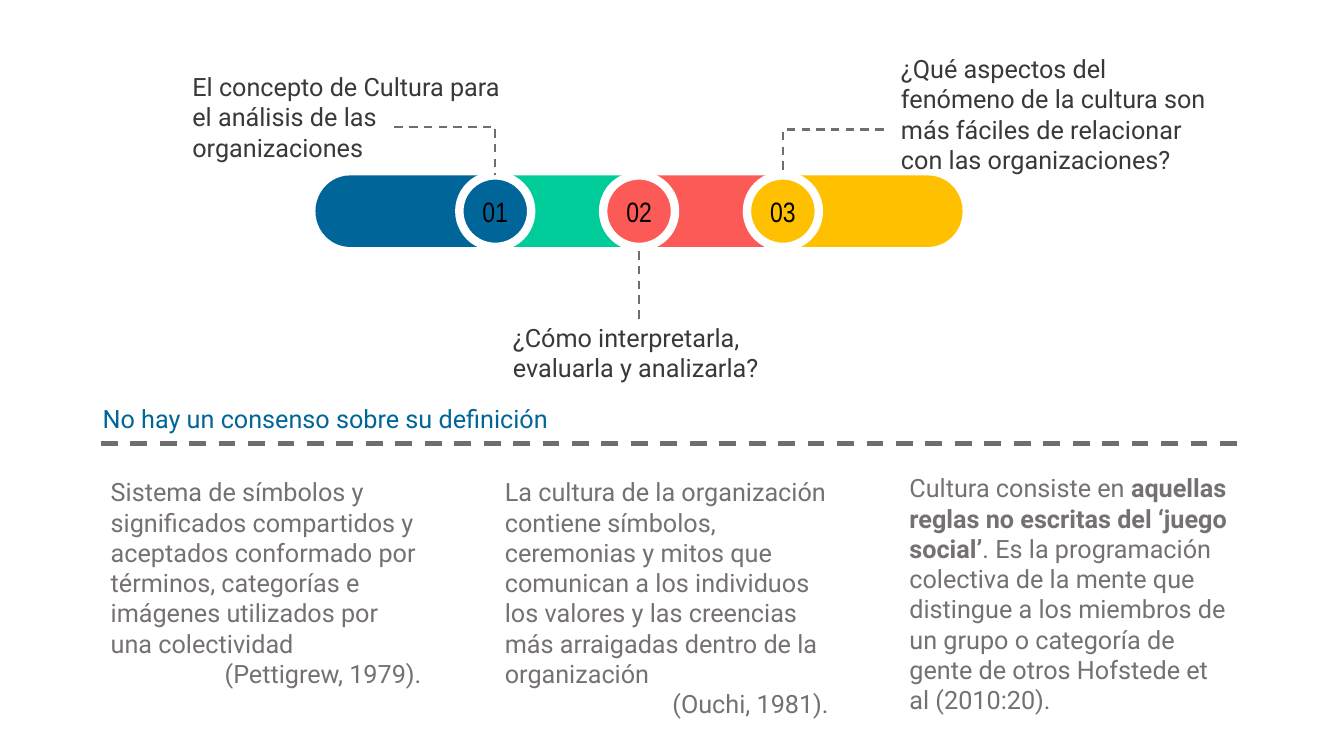
from lxml.etree import SubElement
from pptx import Presentation
from pptx.dml.color import RGBColor
from pptx.enum.dml import MSO_LINE
from pptx.enum.shapes import MSO_CONNECTOR, MSO_SHAPE
from pptx.enum.text import MSO_ANCHOR, PP_ALIGN
from pptx.oxml.ns import qn
from pptx.util import Inches, Pt

COLORS = {
    "blue": "006699", "green": "00CC99", "red": "FC5A56", "yellow": "FFC000",
    "white": "FFFFFF", "black": "000000", "dash": "6E6E6E",
    "callout": "3B3838", "body": "767171",
}
WIDTH, HEIGHT = Inches(13.33), Inches(7.5)
COL, ROW = WIDTH / 40, HEIGHT / 30

# Lead: columns across and rows away from the circle; text box: relative to the bar.
CALLOUTS = [
    ("El concepto de Cultura para el análisis de las organizaciones",
     (-3, -1.92), (-3.96, -4.32, 10.14, 4.04)),
    ("¿Cómo interpretarla, evaluarla y analizarla?",
     (0, 2.84), (5.58, 5.64, 9.99, 2.84)),
    ("¿Qué aspectos del fenómeno de la cultura son más fáciles de relacionar "
     "con las organizaciones?",
     (3, -1.82), (17.13, -5.04, 9.99, 5.24)),
]
# Text box relative to the definitions region, then paragraphs of (text, bold) runs.
DEFINITIONS = [
    ((0, 2.92, 9.84, 8.88),
     [[("Sistema de símbolos y significados compartidos y aceptados conformado por "
        "términos, categorías e imágenes utilizados por una colectividad", False)],
      [("(Pettigrew, 1979).", False)]]),
    ((11.73, 2.92, 10.23, 10.08),
     [[("La cultura de la organización contiene símbolos, ceremonias y mitos que "
        "comunican a los individuos los valores y las creencias más arraigadas "
        "dentro de la organización", False)],
      [("(Ouchi, 1981).", False)]]),
    ((23.77, 2.76, 10.23, 10.08),
     [[("Cultura consiste en ", False),
       ("aquellas reglas no escritas del ‘juego social’", True),
       (". Es la programación colectiva de la mente que distingue a los miembros de "
        "un grupo o categoría de gente de otros Hofstede et al (2010:20).", False)]]),
]


def rgb(name):
    """Return the named colour."""
    return RGBColor.from_string(COLORS[name])


def cells(x, y, *size):
    """Turn grid columns and rows into slide lengths."""
    return [round(v * unit) for v, unit in zip((x, y, *size), (COL, ROW) * 2)]


def add_text(s, box, paragraphs, color, font="Roboto", size=18, wrap=True):
    """Add a text box; every paragraph after the first is a right-aligned source."""
    tf = s.shapes.add_textbox(*cells(*box)).text_frame
    tf.word_wrap = wrap
    for i, runs in enumerate(paragraphs):
        p = tf.add_paragraph() if i else tf.paragraphs[0]
        if i:
            p.alignment = PP_ALIGN.RIGHT
        for text, bold in runs:
            r = p.add_run()
            r.text = text
            r.font.name, r.font.size, r.font.bold = font, Pt(size), bold
            r.font.color.rgb = rgb(color)
    return tf


def add_shape(s, kind, box, fill, outline=None):
    """Add a flat filled shape with an optional thick outline."""
    sp = s.shapes.add_shape(kind, *cells(*box))
    sp.shadow.inherit = False
    sp.fill.solid()
    sp.fill.fore_color.rgb = rgb(fill)
    if outline:
        sp.line.color.rgb = rgb(outline)
        sp.line.width = Pt(6)
    else:
        sp.line.fill.background()


def add_dashes(s, start, end, width=1.5):
    """Add a dashed line, with one right-angle bend if it is not straight."""
    bent = start[0] != end[0] and start[1] != end[1]
    kind = MSO_CONNECTOR.ELBOW if bent else MSO_CONNECTOR.STRAIGHT
    sp = s.shapes.add_connector(kind, *cells(*start), *cells(*end))
    sp.line.color.rgb = rgb("dash")
    sp.line.width = Pt(width)
    sp.line.dash_style = MSO_LINE.DASH
    props = sp._element.spPr
    if bent:
        props.find(qn("a:prstGeom")).set("prst", "bentConnector2")
    SubElement(props, qn("a:effectLst"))


def add_number(s, cx, cy, number):
    """Centre a two-digit number on a circle."""
    w, h = 1.53, 1.48
    tf = add_text(s, (cx - w / 2, cy - h / 2, w, h), [[(f"{number:02}", False)]],
                  "black", "Arial Narrow", 20)
    tf.vertical_anchor = MSO_ANCHOR.MIDDLE
    tf.margin_left = tf.margin_right = tf.margin_top = tf.margin_bottom = Inches(0.1)
    tf.paragraphs[0].alignment = PP_ALIGN.CENTER


def add_timeline(s, box):
    """Build the bar of overlapping pills with its numbered circles and callouts."""
    x, y, w, h = box
    unit = w / 9
    pills = ["blue", "green", "red", "yellow"]
    for i in (1, 2, 0, 3):  # the end pills overlap the inner ones
        add_shape(s, MSO_SHAPE.FLOWCHART_TERMINATOR,
                  (x + 2 * i * unit, y, 3 * unit, h), pills[i])
    circles = ["blue", "red", "yellow"]
    for i, (fill, (text, (dx, dy), (tx, ty, tw, th))) in enumerate(zip(circles, CALLOUTS), 1):
        left = x + 2 * i * unit
        cx = left + unit / 2
        edge = y + h if dy > 0 else y
        add_shape(s, MSO_SHAPE.OVAL, (left, y, unit, h), fill, "white")
        add_number(s, cx, y + h / 2, i)
        add_dashes(s, (cx + dx, edge + dy), (cx, edge))
        add_text(s, (x + tx, y + ty, tw, th), [[(text, False)]], "callout")


def add_definitions(s, box):
    """Build the heading, its dashed rule and the definition columns."""
    x, y, w, h = box
    add_text(s, (x - 0.24, y, 14.04, 1.6),
             [[("No hay un consenso sobre su definición", False)]], "blue", wrap=False)
    add_dashes(s, (x, y + 1.8), (x + w, y + 1.8), 3)
    for (dx, dy, cw, ch), paragraphs in DEFINITIONS:
        add_text(s, (x + dx, y + dy, cw, ch), paragraphs, "body")


def main():
    """Build and save the slide."""
    prs = Presentation()
    prs.slide_width, prs.slide_height = WIDTH, HEIGHT
    s = prs.slides.add_slide(prs.slide_layouts[6])
    add_timeline(s, (9.39, 6.96, 19.26, 2.84))
    add_definitions(s, (3, 15.8, 34, 13))
    prs.save("out.pptx")


main()
